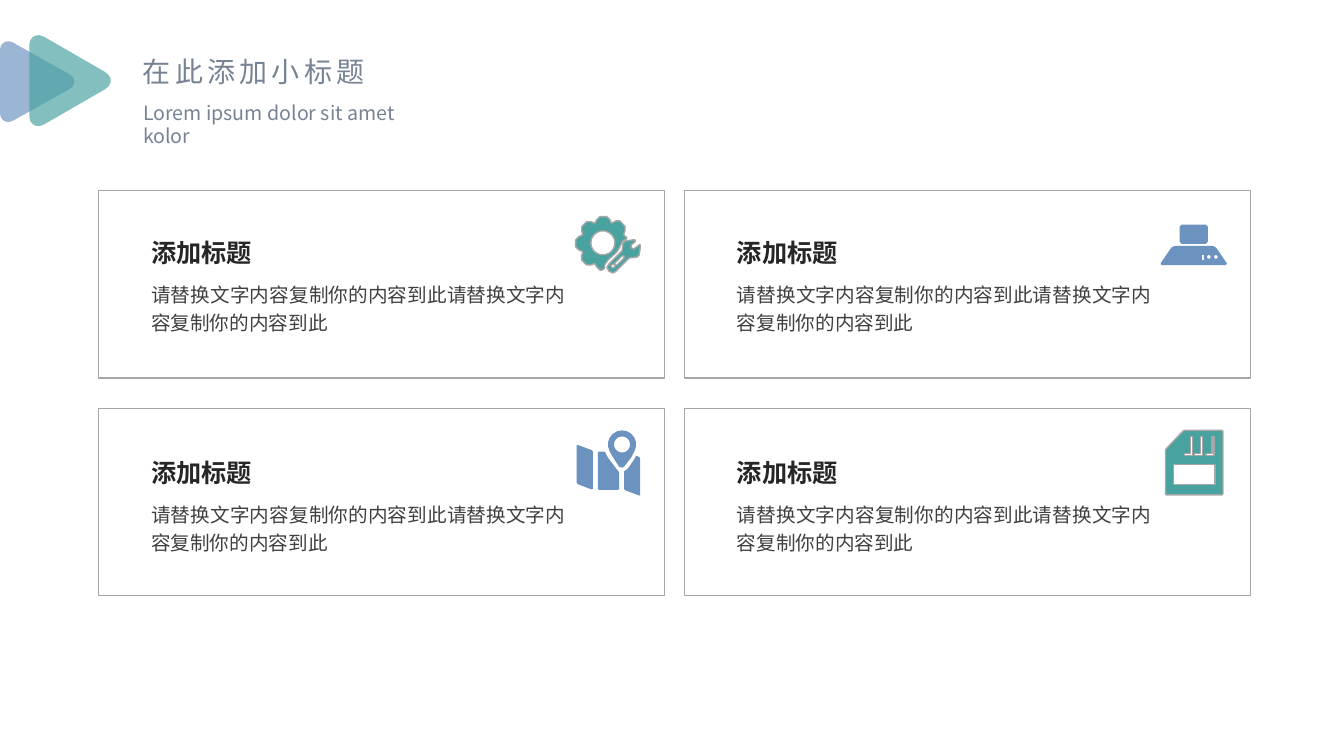
from math import cos, dist, radians, sin

from lxml.etree import SubElement
from pptx import Presentation
from pptx.dml.color import RGBColor
from pptx.enum.shapes import MSO_SHAPE as Preset
from pptx.enum.text import MSO_AUTO_SIZE as AutoSize, PP_ALIGN as Align
from pptx.oxml.ns import qn
from pptx.util import Pt

EMU_PER_PX = 9144  # 100 px to the inch
FONT = "Noto Sans CJK SC"
COLORS = {
    "blue": "6C92C0",
    "teal": "48A2A0",
    "border": "A6A6A6",
    "heading": "768394",
    "title": "262626",
    "body": "404040",
}
FORMATS = {
    "heading": {"size": Pt(20)},
    "subheading": {"size": Pt(14)},
    "title": {"size": Pt(18), "bold": True},
    "body": {"size": Pt(14)},
}
CARD_PARAGRAPH = {"alignment": Align.JUSTIFY, "line_spacing": 1.2}
CARD_TITLE = "添加标题"
CARD_BODY = "请替换文字内容复制你的内容到此请替换文字内容复制你的内容到此"


def px(value):
    return round(value * EMU_PER_PX)


def rgb(name):
    return RGBColor.from_string(COLORS[name])


# Outlines, as lists of points in px
def arc(x, y, radius, start=0, end=340, step=20):
    return [(x + radius * cos(radians(angle)), y + radius * sin(radians(angle)))
            for angle in range(start, end + 1, step)]


def dot(x, y):
    return arc(x, y, 2, end=300, step=60)


def rectangle(left, top, right, bottom):
    return [(left, top), (right, top), (right, bottom), (left, bottom)]


def toward(start, end, share):
    return tuple(a + (b - a) * share for a, b in zip(start, end))


def rounded(corners, trim, steps=1):
    """Replace each corner by a curve that starts trim px before it."""
    outline = []
    for index, corner in enumerate(corners):
        before, after = corners[index - 1], corners[(index + 1) % len(corners)]
        first, last = (toward(corner, other, min(trim / dist(corner, other), 0.5))
                       for other in (before, after))
        pull_in, pull_out = toward(first, corner, 0.5), toward(last, corner, 0.5)
        for step in range(steps + 1):
            t = step / steps
            weights = ((1 - t) ** 3, 3 * t * (1 - t) ** 2, 3 * t * t * (1 - t), t ** 3)
            outline.append(tuple(
                sum(w * point[axis] for w, point in zip(weights, (first, pull_in, pull_out, last)))
                for axis in (0, 1)))
    return outline


def gear_and_wrench():
    gear = [(592, 215), (605, 215), (605, 221), (608, 222), (613, 217), (622, 227),
            (618, 231), (619, 235), (624, 236), (619, 238), (616, 241), (614, 248),
            (601, 260), (599, 265), (600, 268), (592, 268), (592, 262), (588, 261),
            (584, 265), (575, 256), (579, 251), (577, 248), (571, 248), (571, 235),
            (577, 235), (579, 231), (575, 227), (584, 218), (588, 222), (592, 221)]
    wrench = [(628, 238), (630, 238), (630, 240), (626, 243), (626, 246), (629, 247),
              (634, 243), (635, 243), (635, 246), (634, 253), (632, 255), (624, 256),
              (611, 269), (608, 271), (604, 269), (602, 265), (604, 262), (617, 249),
              (618, 241), (621, 239)]
    slot = [(617, 254), (619, 254), (619, 256), (612, 263), (610, 263), (610, 261)]
    return [rounded(gear, 3), arc(598, 241, 12), wrench, slot, dot(608, 264)]


def cooker_hood():
    base = [(1163, 244), (1205, 244), (1218, 263), (1150, 263)]
    return [rounded(base, 2), rounded(rectangle(1170, 223, 1198, 242), 2),
            rectangle(1192, 253, 1194, 258), dot(1199, 255), dot(1206, 255)]


def map_with_pin():
    left = [(572, 441), (588, 447), (588, 486), (572, 480)]
    middle = [(593, 448), (600, 448), (603, 454), (612, 466), (614, 468),
              (614, 486), (593, 486)]
    right = [(631, 452), (635, 454), (635, 492), (619, 486), (619, 467),
             (622, 466), (629, 456)]
    pin = arc(617, 441, 14, 150, 390) + [(626, 454), (619, 463), (617, 464),
                                         (614, 463), (607, 452)]
    return [rounded(panel, 1) for panel in (left, middle, right)] + [pin, arc(617, 441, 8)]


def memory_card():
    body = [(1174, 427), (1213, 427), (1213, 491), (1156, 491), (1156, 446)]
    contacts = [[(x - 8, 450), (x - 2, 450), (x - 2, 433), (x, 433), (x, 452), (x - 8, 452)]
                for x in (1183, 1193, 1204)]
    return [rounded(body, 1), *contacts, rectangle(1164, 461, 1205, 481)]


# Elements
def add_outline(shapes, outlines, color, alpha=None, border=False):
    builder = None
    for outline in outlines:
        start, *rest = [(px(x), px(y)) for x, y in outline]
        if builder is None:
            builder = shapes.build_freeform(*start, scale=1.0)
        else:
            builder.move_to(*start)
        builder.add_line_segments(rest, close=True)
    shape = builder.convert_to_shape()
    shape.shadow.inherit = False
    shape.fill.solid()
    shape.fill.fore_color.rgb = rgb(color)
    if alpha:
        fill_color = shape._element.spPr.find(".//" + qn("a:srgbClr"))
        SubElement(fill_color, qn("a:alpha")).set("val", str(alpha * 1000))
    set_border(shape, border)


def set_border(shape, border):
    if border:
        shape.line.color.rgb = rgb("border")
        shape.line.width = Pt(1)
    else:
        shape.line.fill.background()


def add_text(shapes, bounds, text, style, color, paragraph=None, spacing=None):
    box = shapes.add_textbox(*map(px, bounds))
    frame = box.text_frame
    frame.word_wrap = True
    frame.auto_size = AutoSize.SHAPE_TO_FIT_TEXT
    para = frame.paragraphs[0]
    for name, value in (paragraph or {}).items():
        setattr(para, name, value)
    span = para.add_run()
    span.text = text
    for name, value in {"name": FONT, **FORMATS[style]}.items():
        setattr(span.font, name, value)
    span.font.color.rgb = rgb(color)
    properties = span._r.get_or_add_rPr()
    SubElement(properties, qn("a:ea")).set("typeface", FONT)
    if spacing:
        properties.set("spc", str(spacing * 100))


def add_card(page, column, row, icon, color, icon_border):
    shapes = page.shapes.add_group_shape().shapes
    left, top = 98 + 581 * column, 189 + 216 * row
    text_left, text_top = left + 42, 225 + 218 * row
    frame = shapes.add_shape(Preset.RECTANGLE, *map(px, (left, top, 561, 186)))
    frame.shadow.inherit = False
    frame.fill.background()
    set_border(frame, True)
    add_outline(shapes, icon, color, border=icon_border)
    add_text(shapes, (text_left, text_top + 46, 431, 67), CARD_BODY, "body", "body",
             CARD_PARAGRAPH)
    add_text(shapes, (text_left, text_top, 224, 45), CARD_TITLE, "title", "title",
             CARD_PARAGRAPH)


def main():
    deck = Presentation()
    deck.slide_width, deck.slide_height = px(1333), px(750)
    page = deck.slides.add_slide(deck.slide_layouts[6])

    # Heading
    add_text(page.shapes, (132, 49, 246, 44), "在此添加小标题", "heading", "heading", spacing=3)
    add_text(page.shapes, (132, 95, 319, 34), "Lorem ipsum dolor sit amet kolor",
             "subheading", "heading")

    # Overlapping triangles
    marks = page.shapes.add_group_shape().shapes
    for corners, trim, color in (
        ([(0, 35), (82, 81), (0, 127)], 15, "blue"),
        ([(29, 28), (119, 80), (29, 132)], 17, "teal"),
    ):
        add_outline(marks, [rounded(corners, trim, steps=5)], color, alpha=68)

    # Cards
    add_card(page, 0, 0, gear_and_wrench(), "teal", True)
    add_card(page, 0, 1, map_with_pin(), "blue", False)
    add_card(page, 1, 0, cooker_hood(), "blue", False)
    add_card(page, 1, 1, memory_card(), "teal", True)

    deck.save("out.pptx")


if __name__ == "__main__":
    main()
